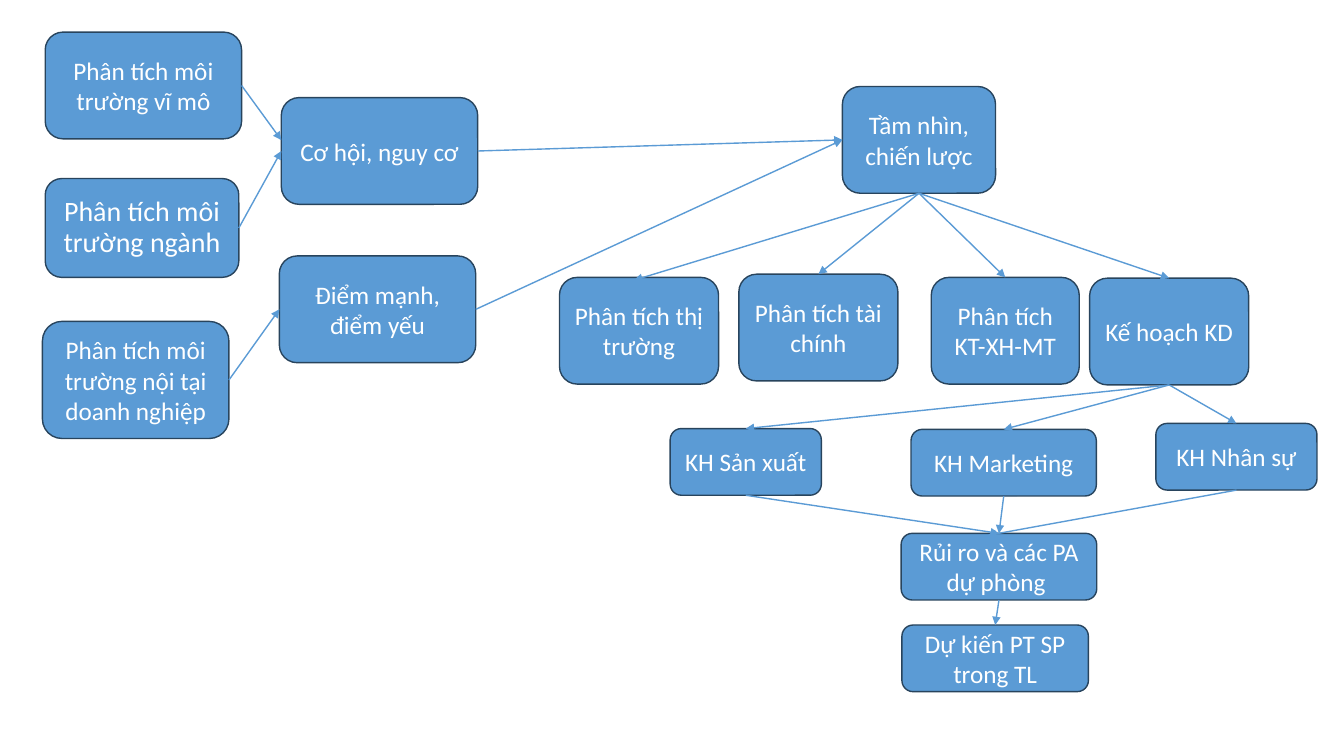
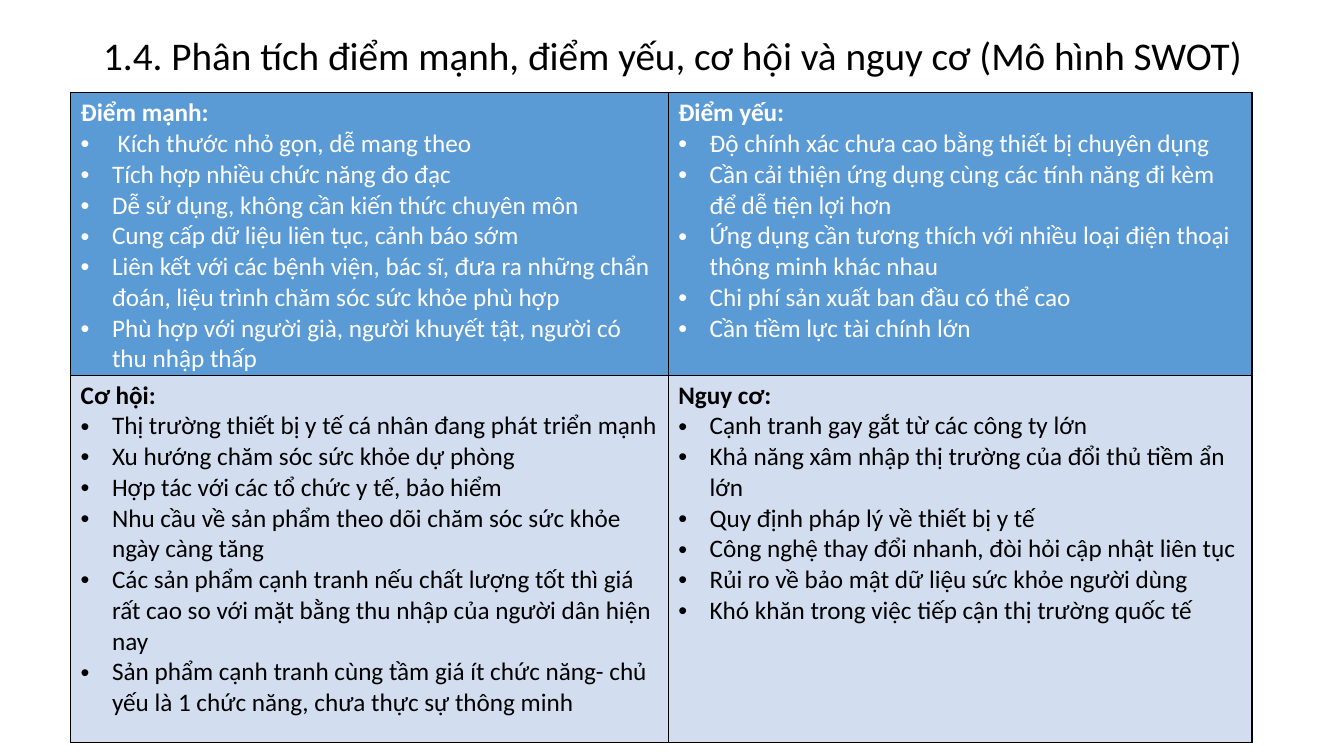
import pptx
import pptx.util
import pptx.dml.color
import pptx.enum.shapes
import pptx.enum.text
import pptx.oxml
import pptx.oxml.ns
import lxml.etree

Cm = pptx.util.Cm
Pt = pptx.util.Pt
FONT = "Calibri"
COLORS = {
    "blue": "5B9BD5",
    "outline": "28445D",
    "pale": "D2DEEF",
    "white": "FFFFFF",
    "black": "000000",
}
RGB = {name: pptx.dml.color.RGBColor.from_string(value) for name, value in COLORS.items()}
CENTER = pptx.enum.text.PP_ALIGN.CENTER
MIDDLE = pptx.enum.text.MSO_ANCHOR.MIDDLE
TOP, LEFT, BOTTOM, RIGHT = range(4)


def add_span(para, text, size, color, bold=False):
    span = para.add_run()
    span.text = text
    span.font.name = FONT
    span.font.size = Pt(size)
    span.font.bold = bold
    span.font.color.rgb = RGB[color]


def add_arrow(page, start, side, end_x=0, end_y=0):
    arrow = page.shapes.add_connector(
        pptx.enum.shapes.MSO_CONNECTOR.STRAIGHT, 0, 0, Cm(end_x), Cm(end_y))
    arrow.begin_connect(start, side)
    arrow.line.color.rgb = RGB["blue"]
    arrow.line.width = Pt(1)
    line = arrow.line._get_or_add_ln()
    lxml.etree.SubElement(line, pptx.oxml.ns.qn("a:tailEnd"), type="triangle")
    lxml.etree.SubElement(arrow._element.spPr, pptx.oxml.ns.qn("a:effectLst"))
    return arrow


deck = pptx.Presentation()
deck.slide_width = Cm(33.87)
deck.slide_height = Cm(19.05)
blank = deck.slide_layouts[6]

# Slide 1: planning flow chart
page = deck.slides.add_slide(blank)
TALL, LOW = 2.69, 1.68
steps = {  # left, top, width, height, text
    "macro": (1.14, 0.81, 4.95, TALL, "Phân tích môi trường vĩ mô"),
    "industry": (1.14, 4.5, 4.88, 2.49, "Phân tích môi trường ngành"),
    "internal": (1.07, 8.1, 4.7, 2.95, "Phân tích môi trường nội tại doanh nghiệp"),
    "strengths": (7.04, 6.45, 4.95, TALL, "Điểm mạnh, điểm yếu"),
    "chances": (7.09, 2.46, 4.95, TALL, "Cơ hội, nguy cơ"),
    "vision": (21.23, 2.18, 3.86, TALL, "Tầm nhìn, chiến lược"),
    "market": (14.1, 6.99, 4.01, TALL, "Phân tích thị trường"),
    "finance": (18.62, 6.91, 4.01, TALL, "Phân tích tài chính"),
    "society": (23.47, 6.99, 3.73, TALL, "Phân tích KT-XH-MT"),
    "business": (27.46, 7.01, 4.01, TALL, "Kế hoạch KD"),
    "production": (16.89, 10.8, 3.81, LOW, "KH Sản xuất"),
    "marketing": (22.96, 10.82, 4.67, LOW, "KH Marketing"),
    "staff": (29.13, 10.67, 4.06, LOW, "KH Nhân sự"),
    "risk": (22.71, 13.44, 4.93, LOW, "Rủi ro và các PA dự phòng "),
    "future": (22.73, 15.75, 4.7, LOW, "Dự kiến PT SP trong TL"),
}
boxes = {}
for name, (left, top, width, height, text) in steps.items():
    box = page.shapes.add_shape(
        pptx.enum.shapes.MSO_SHAPE.ROUNDED_RECTANGLE,
        Cm(left), Cm(top), Cm(width), Cm(height))
    box.shadow.inherit = False
    box.fill.solid()
    box.fill.fore_color.rgb = RGB["blue"]
    box.line.color.rgb = RGB["outline"]
    box.line.width = Pt(1)
    box.text_frame.word_wrap = True
    box.text_frame.vertical_anchor = MIDDLE
    para = box.text_frame.paragraphs[0]
    para.alignment = CENTER
    if name == "industry":
        para.line_spacing = 0.9
        para.space_before = Pt(10)
    add_span(para, text, 20 if name == "industry" else 18, "white")
    boxes[name] = box

# Arrows joined at both ends
links = [
    ("industry", RIGHT, "chances", LEFT),
    ("internal", RIGHT, "strengths", LEFT),
    ("chances", RIGHT, "vision", LEFT),
    ("strengths", RIGHT, "vision", LEFT),
    ("vision", BOTTOM, "finance", TOP),
    ("vision", BOTTOM, "society", TOP),
    ("vision", BOTTOM, "business", TOP),
    ("business", BOTTOM, "production", TOP),
    ("business", BOTTOM, "marketing", TOP),
    ("business", BOTTOM, "staff", TOP),
    ("production", BOTTOM, "risk", TOP),
    ("marketing", BOTTOM, "risk", TOP),
    ("risk", BOTTOM, "future", TOP),
]
for start, start_side, end, end_side in links:
    add_arrow(page, boxes[start], start_side).end_connect(boxes[end], end_side)

# Arrows that end off the middle of a side
for start, side, end_x, end_y in [
    ("macro", RIGHT, 7.09, 3.53),
    ("vision", BOTTOM, 15.98, 7.06),
    ("staff", BOTTOM, 24.89, 13.49),
]:
    add_arrow(page, boxes[start], side, end_x, end_y)

# Slide 2: title
page = deck.slides.add_slide(blank)
title = page.shapes.add_textbox(Cm(2.34), Cm(0.71), Cm(29.21), Cm(1.5))
title.text_frame.word_wrap = True
title.text_frame.vertical_anchor = MIDDLE
title.text_frame.margin_left = title.text_frame.margin_right = 0
para = title.text_frame.paragraphs[0]
para.alignment = CENTER
para.line_spacing = 0.9
add_span(para, "1.4. Phân tích điểm mạnh, điểm yếu, cơ hội và nguy cơ (Mô hình SWOT)", 28, "black")

# SWOT table
quadrants = [
    [
        ("Điểm mạnh:", [
            " Kích thước nhỏ gọn, dễ mang theo",
            "Tích hợp nhiều chức năng đo đạc",
            "Dễ sử dụng, không cần kiến thức chuyên môn",
            "Cung cấp dữ liệu liên tục, cảnh báo sớm",
            "Liên kết với các bệnh viện, bác sĩ, đưa ra những chẩn đoán, "
            "liệu trình chăm sóc sức khỏe phù hợp",
            "Phù hợp với người già, người khuyết tật, người có thu nhập thấp",
        ]),
        ("Điểm yếu:", [
            "Độ chính xác chưa cao bằng thiết bị chuyên dụng",
            "Cần cải thiện ứng dụng cùng các tính năng đi kèm để dễ tiện lợi hơn",
            "Ứng dụng cần tương thích với nhiều loại điện thoại thông minh khác nhau",
            "Chi phí sản xuất ban đầu có thể cao",
            "Cần tiềm lực tài chính lớn",
        ]),
    ],
    [
        ("Cơ hội:", [
            "Thị trường thiết bị y tế cá nhân đang phát triển mạnh",
            "Xu hướng chăm sóc sức khỏe dự phòng",
            "Hợp tác với các tổ chức y tế, bảo hiểm",
            "Nhu cầu về sản phẩm theo dõi chăm sóc sức khỏe ngày càng tăng",
            "Các sản phẩm cạnh tranh nếu chất lượng tốt thì giá rất cao "
            "so với mặt bằng thu nhập của người dân hiện nay",
            "Sản phẩm cạnh tranh cùng tầm giá ít chức năng- chủ yếu là 1 chức năng, "
            "chưa thực sự thông minh",
        ]),
        ("Nguy cơ:", [
            "Cạnh tranh gay gắt từ các công ty lớn",
            "Khả năng xâm nhập thị trường của đổi thủ tiềm ẩn lớn",
            "Quy định pháp lý về thiết bị y tế",
            "Công nghệ thay đổi nhanh, đòi hỏi cập nhật liên tục",
            "Rủi ro về bảo mật dữ liệu sức khỏe người dùng",
            "Khó khăn trong việc tiếp cận thị trường quốc tế",
        ]),
    ],
]
row_styles = [("blue", "white"), ("pale", "black")]
table = page.shapes.add_table(2, 2, Cm(1.78), Cm(2.34), Cm(29.77), Cm(16.36)).table
table.horz_banding = False
table.first_row = False
for column, width in zip(table.columns, (15.06, 14.71)):
    column.width = Cm(width)
for row, height in zip(table.rows, (7.11, 9.25)):
    row.height = Cm(height)

border = (
    '<a:{side} xmlns:a="http://schemas.openxmlformats.org/drawingml/2006/main" w="12700">'
    '<a:solidFill><a:srgbClr val="{color}"/></a:solidFill></a:{side}>'
)
for row_index, (fill, ink) in enumerate(row_styles):
    for column_index, (heading, points) in enumerate(quadrants[row_index]):
        cell = table.cell(row_index, column_index)
        cell.fill.solid()
        cell.fill.fore_color.rgb = RGB[fill]
        properties = cell._tc.get_or_add_tcPr()
        for position, side in enumerate(("lnL", "lnR", "lnT", "lnB")):
            properties.insert(position, pptx.oxml.parse_xml(
                border.format(side=side, color=COLORS["black"])))
        add_span(cell.text_frame.paragraphs[0], heading, 18, ink, bold=True)
        for point in points:
            para = cell.text_frame.add_paragraph()
            layout = para._p.get_or_add_pPr()
            layout.set("marL", str(Cm(0.79)))
            layout.set("indent", str(-Cm(0.79)))
            lxml.etree.SubElement(layout, pptx.oxml.ns.qn("a:buFont"), typeface="Arial")
            lxml.etree.SubElement(layout, pptx.oxml.ns.qn("a:buChar"), char="•")
            add_span(para, point, 18, ink)

deck.save("out.pptx")
